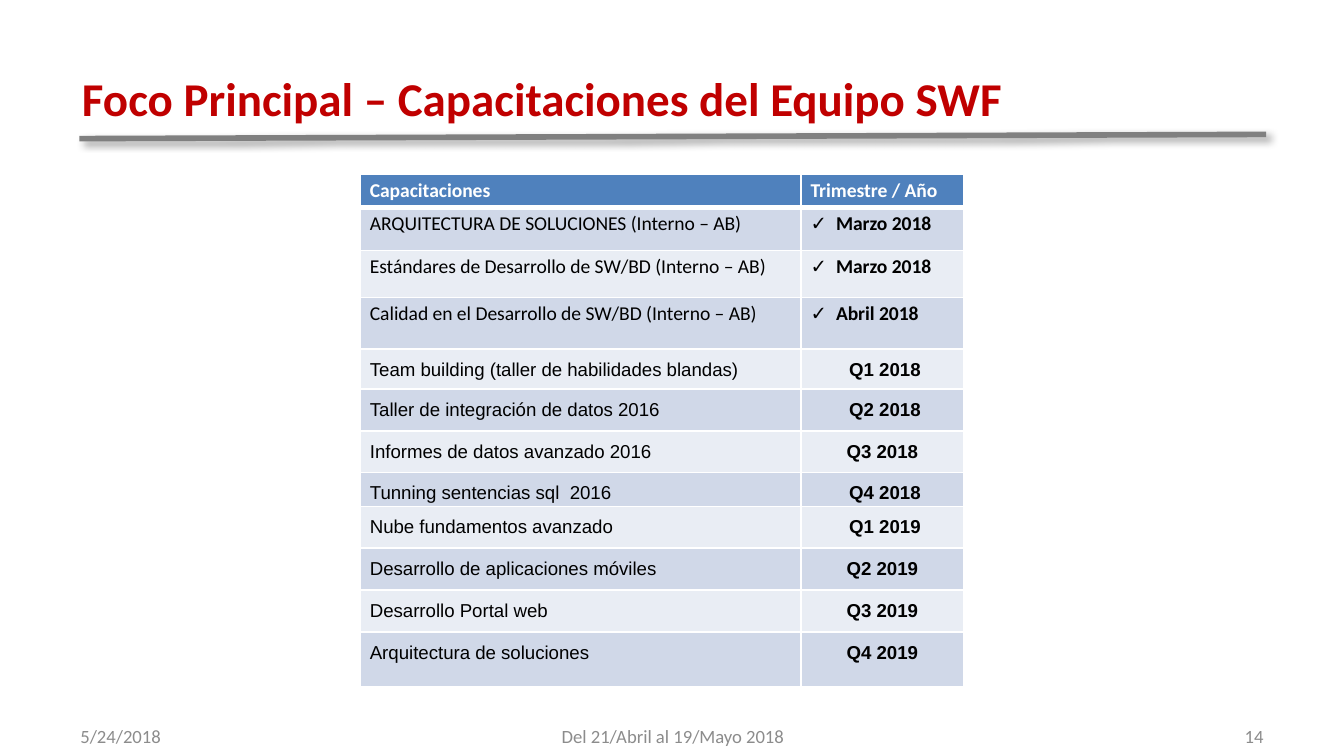
"""Build the slide that lists the team's training plan by quarter."""
from dataclasses import dataclass

from lxml import etree
from pptx import Presentation
from pptx.dml.color import RGBColor
from pptx.enum.shapes import MSO_CONNECTOR
from pptx.enum.text import MSO_ANCHOR, PP_ALIGN
from pptx.oxml import parse_xml
from pptx.oxml.ns import nsdecls, qn
from pptx.util import Cm, Pt

STRAIGHT = MSO_CONNECTOR.STRAIGHT
MIDDLE = MSO_ANCHOR.MIDDLE
LEFT, CENTER, RIGHT, JUSTIFY = PP_ALIGN.LEFT, PP_ALIGN.CENTER, PP_ALIGN.RIGHT, PP_ALIGN.JUSTIFY


@dataclass(frozen=True)
class Theme:
    title_color: str = "C00000"
    rule_color: str = "808080"
    footer_color: str = "8C8C8C"
    text_color: str = "000000"
    light: str = "FFFFFF"
    header_fill: str = "4F81BD"
    band_fills: tuple = ("D0D8E8", "E9EDF4")
    title_size: float = 25.2
    footer_size: float = 10
    done_size: float = 10.5
    planned_size: float = 10
    main_font: str = "Calibri"
    planned_font: str = "Arial"


THEME = Theme()
HEADER = ("Capacitaciones", "Trimestre / Año")
DONE = [
    ("ARQUITECTURA DE SOLUCIONES (Interno – AB)", "Marzo 2018"),
    ("Estándares de Desarrollo de SW/BD (Interno – AB)", "Marzo 2018"),
    ("Calidad en el Desarrollo de SW/BD (Interno – AB)", "Abril 2018"),
]
PLANNED = [
    ("Team building (taller de habilidades blandas)", " Q1 2018"),
    ("Taller de integración de datos 2016", " Q2 2018"),
    ("Informes de datos avanzado 2016", "Q3 2018"),
    ("Tunning sentencias sql  2016", " Q4 2018"),
    ("Nube fundamentos avanzado", " Q1 2019"),
    ("Desarrollo de aplicaciones móviles", "Q2 2019"),
    ("Desarrollo Portal web", "Q3 2019"),
    ("Arquitectura de soluciones", "Q4 2019"),
]
COLUMN_WIDTHS = (8.33, 3.07)
ROW_HEIGHTS = (0.61, 0.81, 0.89, 0.97, 0.76, 0.79, 0.79, 0.58, 0.79, 0.79, 0.79, 1.04)


def write_text(frame, text, *, size, color=THEME.text_color, font=THEME.main_font,
               bold=False, align=LEFT, spacing=None):
    """Write one formatted paragraph and return it."""
    para = frame.paragraphs[0]
    para.alignment = align
    if spacing:
        para.line_spacing = spacing
    span = para.add_run()
    span.text = text
    span.font.name = font
    span.font.size = Pt(size)
    span.font.bold = bold
    span.font.color.rgb = RGBColor.from_string(color)
    return para


def add_text(page, left, top, width, height, text, **style):
    """Add a wrapped, vertically centred text box."""
    box = page.shapes.add_textbox(Cm(left), Cm(top), Cm(width), Cm(height))
    box.text_frame.word_wrap = True
    box.text_frame.vertical_anchor = MIDDLE
    write_text(box.text_frame, text, **style)


def add_rule(page):
    """Add the shadowed line under the title."""
    rule = page.shapes.add_connector(STRAIGHT, Cm(1.5), Cm(2.62), Cm(23.93), Cm(2.54))
    rule.line.color.rgb = RGBColor.from_string(THEME.rule_color)
    rule.line.width = Pt(3)
    rule._element.spPr.append(parse_xml(
        f'<a:effectLst {nsdecls("a")}><a:outerShdw blurRad="{Pt(4)}" dist="{Pt(3)}" '
        'dir="2700000" rotWithShape="0"><a:srgbClr val="000000">'
        '<a:alpha val="40000"/></a:srgbClr></a:outerShdw></a:effectLst>'))


def add_check_bullet(para):
    """Give a paragraph a check mark with a hanging indent."""
    properties = para._p.get_or_add_pPr()
    properties.set("marL", str(Cm(0.48)))
    properties.set("indent", str(-Cm(0.48)))
    etree.SubElement(properties, qn("a:buFont")).set("typeface", THEME.planned_font)
    etree.SubElement(properties, qn("a:buChar")).set("char", "✓")


def style_cell(cell, fill, vertical_margin, top=1, bottom=1):
    """Set the margins, white borders and fill of a cell."""
    cell.margin_left = cell.margin_right = Cm(0.18)
    cell.margin_top = cell.margin_bottom = Cm(vertical_margin)
    properties = cell._tc.get_or_add_tcPr()
    for side, width in (("L", 1), ("R", 1), ("T", top), ("B", bottom)):
        properties.append(parse_xml(
            f'<a:ln{side} {nsdecls("a")} w="{Pt(width)}"><a:solidFill>'
            f'<a:srgbClr val="{THEME.light}"/></a:solidFill></a:ln{side}>'))
    cell.fill.solid()
    cell.fill.fore_color.rgb = RGBColor.from_string(fill)


def fill_header(cells):
    """Fill the heading row."""
    for cell, text in zip(cells, HEADER):
        style_cell(cell, THEME.header_fill, 0.09, bottom=3)
        write_text(cell.text_frame, text, size=THEME.done_size, color=THEME.light, bold=True)


def fill_done(cells, course, date, fill, top):
    """Fill the row of a finished course."""
    for cell in cells:
        style_cell(cell, fill, 0.09, top=top)
    write_text(cells[0].text_frame, course, size=THEME.done_size)
    add_check_bullet(write_text(cells[1].text_frame, date, size=THEME.done_size, bold=True))


def fill_planned(cells, course, quarter, fill):
    """Fill the row of a planned course."""
    style = {"size": THEME.planned_size, "font": THEME.planned_font, "spacing": 1.5}
    for cell in cells:
        style_cell(cell, fill, 0)
    write_text(cells[0].text_frame, course, align=JUSTIFY, **style)
    write_text(cells[1].text_frame, quarter, align=CENTER, bold=True, **style)


def add_training_table(page):
    """Add the table of courses and dates."""
    table = page.shapes.add_table(
        len(ROW_HEIGHTS), len(COLUMN_WIDTHS), Cm(6.81), Cm(3.3),
        Cm(sum(COLUMN_WIDTHS)), Cm(sum(ROW_HEIGHTS))).table
    for column, width in zip(table.columns, COLUMN_WIDTHS):
        column.width = Cm(width)
    for row, height in zip(table.rows, ROW_HEIGHTS):
        row.height = Cm(height)
    rows = [list(row.cells) for row in table.rows]
    fill_header(rows[0])
    for index, (cells, (course, date)) in enumerate(zip(rows[1:], DONE + PLANNED)):
        fill = THEME.band_fills[index % 2]
        if index < len(DONE):
            fill_done(cells, course, date, fill, top=1 if index else 3)
        else:
            fill_planned(cells, course, date, fill)


def add_footer(page):
    """Add the date, the period and the page number."""
    for left, width, text, align in (
            (1.27, 5.92, "5/24/2018", LEFT),
            (8.69, 8.05, "Del 21/Abril al 19/Mayo 2018", CENTER),
            (18.21, 5.92, "14", RIGHT)):
        add_text(page, left, 13.54, width, 0.76, text, align=align,
                 size=THEME.footer_size, color=THEME.footer_color)


def main():
    """Build and save the deck."""
    deck = Presentation()
    deck.slide_width, deck.slide_height = Cm(25.4), Cm(14.29)
    page = deck.slides.add_slide(deck.slide_layouts[6])
    add_rule(page)
    add_footer(page)
    add_text(page, 1.3, 1.14, 22.86, 1.42, "Foco Principal – Capacitaciones del Equipo SWF",
             size=THEME.title_size, color=THEME.title_color, bold=True)
    add_training_table(page)
    deck.save("out.pptx")


if __name__ == "__main__":
    main()
